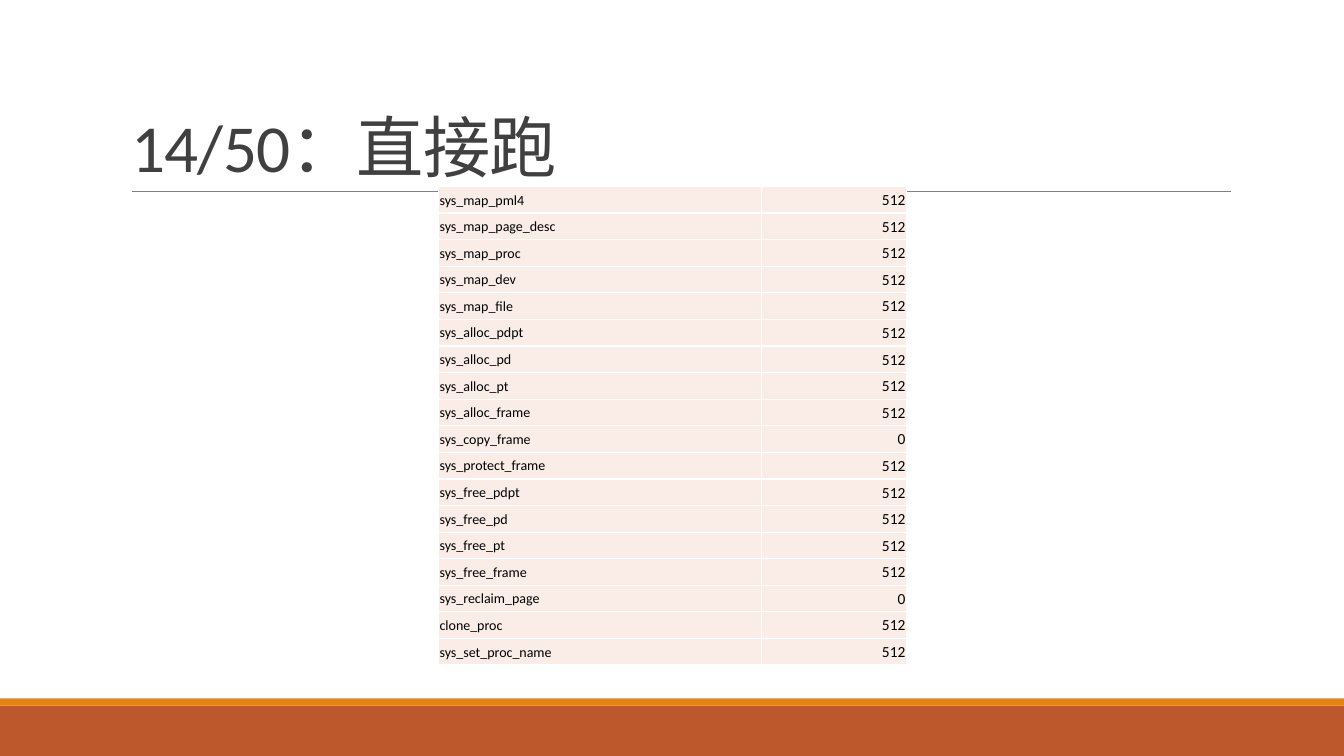
import pptx
import pptx.dml.color
import pptx.enum.shapes
import pptx.enum.text
import pptx.oxml
import pptx.oxml.ns
import pptx.util

ANCHOR = pptx.enum.text.MSO_ANCHOR
ALIGN = pptx.enum.text.PP_ALIGN
PX = 9144  # EMU; 100 px to the inch

WIDTH, HEIGHT = 1333, 750
CALLS = 512
SYSCALLS = {
    "sys_map_pml4": CALLS,
    "sys_map_page_desc": CALLS,
    "sys_map_proc": CALLS,
    "sys_map_dev": CALLS,
    "sys_map_file": CALLS,
    "sys_alloc_pdpt": CALLS,
    "sys_alloc_pd": CALLS,
    "sys_alloc_pt": CALLS,
    "sys_alloc_frame": CALLS,
    "sys_copy_frame": 0,
    "sys_protect_frame": CALLS,
    "sys_free_pdpt": CALLS,
    "sys_free_pd": CALLS,
    "sys_free_pt": CALLS,
    "sys_free_frame": CALLS,
    "sys_reclaim_page": 0,
    "clone_proc": CALLS,
    "sys_set_proc_name": CALLS,
}


def px(*lengths):
    return [pptx.util.Emu(length * PX) for length in lengths]


def rgb(hex_colour):
    return pptx.dml.color.RGBColor.from_string(hex_colour)


def apply(target, values):
    for attribute, value in values.items():
        setattr(target, attribute, value)


class SlideBuilder:
    font = "Calibri"
    title_colour = "404040"
    cell_colour = "000000"
    cell_fill = "FAEDE7"
    border_colour = "FFFFFF"

    def __init__(self, presentation):
        title_only = presentation.slide_layouts[5]
        self.slide = presentation.slides.add_slide(title_only)

    def add_text(self, paragraph, text, size, colour, **layout):
        apply(paragraph, layout)
        run = paragraph.add_run()
        run.text = text
        apply(run.font, {"name": self.font, "size": pptx.util.Pt(size), "bold": False})
        run.font.color.rgb = rgb(colour)
        return run

    def title(self, text, *box):
        heading = self.slide.shapes.title
        apply(heading, dict(zip(("left", "top", "width", "height"), px(*box))))
        apply(heading.text_frame, {
            "vertical_anchor": ANCHOR.BOTTOM,
            "word_wrap": True,
            "auto_size": pptx.enum.text.MSO_AUTO_SIZE.NONE,
        })
        run = self.add_text(heading.text_frame.paragraphs[0], text, 48, self.title_colour,
                            alignment=ALIGN.LEFT, line_spacing=0.85)
        run.font._element.set("spc", "-50")

    def bar(self, colour, *box):
        band = self.slide.shapes.add_shape(pptx.enum.shapes.MSO_SHAPE.RECTANGLE, *px(*box))
        band.shadow.inherit = False
        band.fill.solid()
        band.fill.fore_color.rgb = rgb(colour)
        band.line.fill.background()

    def rule(self, colour, weight, *ends):
        straight = pptx.enum.shapes.MSO_CONNECTOR.STRAIGHT
        rule = self.slide.shapes.add_connector(straight, *px(*ends))
        rule.line.color.rgb = rgb(colour)
        rule.line.width = pptx.util.Pt(weight)
        rule._element.spPr.append(pptx.oxml.parse_xml(
            f'<a:effectLst {pptx.oxml.ns.nsdecls("a")}/>'))

    def border(self, cell):
        properties = cell._tc.get_or_add_tcPr()
        for side in "LRTB":
            properties.append(pptx.oxml.parse_xml(
                f'<a:ln{side} {pptx.oxml.ns.nsdecls("a")} w="12700"><a:solidFill>'
                f'<a:srgbClr val="{self.border_colour}"/></a:solidFill></a:ln{side}>'))

    def cell(self, cell, text, size, alignment):
        self.border(cell)
        cell.fill.solid()
        cell.fill.fore_color.rgb = rgb(self.cell_fill)
        margins = ("margin_left", "margin_top", "margin_right", "margin_bottom")
        apply(cell, dict(zip(margins, px(1, 1, 1, 0))))
        cell.vertical_anchor = ANCHOR.MIDDLE
        self.add_text(cell.text_frame.paragraphs[0], text, size, self.cell_colour,
                      alignment=alignment)

    def table(self, counts, left, top, widths, height):
        box = px(left, top, sum(widths), height)
        grid = self.slide.shapes.add_table(len(counts), len(widths), *box).table
        apply(grid, {"first_row": False, "horz_banding": False})
        for column, width in zip(grid.columns, px(*widths)):
            column.width = width
        for row, (name, count) in zip(grid.rows, counts.items()):
            self.cell(row.cells[0], name, 10, ALIGN.LEFT)
            self.cell(row.cells[1], str(count), 11, ALIGN.RIGHT)


def main():
    presentation = pptx.Presentation()
    apply(presentation, dict(zip(("slide_width", "slide_height"), px(WIDTH, HEIGHT))))
    builder = SlideBuilder(presentation)
    builder.bar("BD582C", 0, 700, WIDTH, 50)
    builder.bar("E48312", 0, 693, WIDTH, 7)
    builder.rule("808080", 0.5, 131, 190, 1221, 190)
    builder.title("14/50：直接跑", 120, 31, 1100, 159)
    builder.table(SYSCALLS, 435, 185, (320, 144), 475)
    presentation.save("out.pptx")


if __name__ == "__main__":
    main()
